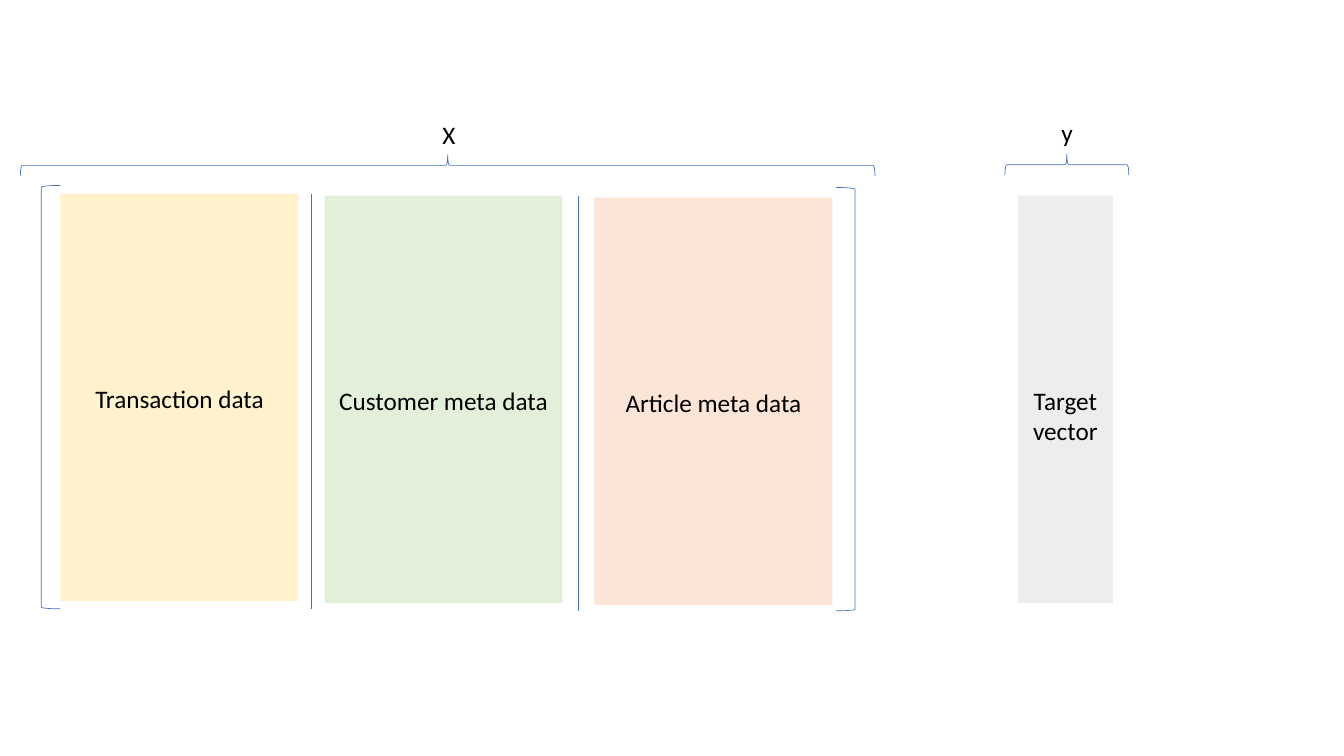
import pptx
import pptx.util
import pptx.dml.color
import pptx.enum.shapes
import pptx.enum.text
import pptx.oxml
from dataclasses import dataclass

Pt = pptx.util.Pt
RGB = pptx.dml.color.RGBColor.from_string
Preset = pptx.enum.shapes.MSO_SHAPE


@dataclass
class Theme:
    """Colours, font and sizes of the slide."""
    transaction: str = "FFF2CC"
    customer: str = "E2F0D9"
    article: str = "FBE5D6"
    target: str = "EDEDED"
    outline: str = "4472C4"
    text: str = "000000"
    font: str = "Calibri"
    size: int = 18
    line_width: float = 0.5


theme = Theme()
deck = pptx.Presentation()
deck.slide_width, deck.slide_height = Pt(960), Pt(540)
shapes = deck.slides.add_slide(deck.slide_layouts[6]).shapes


def write(holder, wording):
    """Put one styled paragraph at the top of a shape and return it."""
    frame = holder.text_frame
    frame.word_wrap = True
    frame.vertical_anchor = pptx.enum.text.MSO_ANCHOR.TOP
    paragraph = frame.paragraphs[0]
    paragraph.text = wording
    paragraph.font.name = theme.font
    paragraph.font.size = Pt(theme.size)
    paragraph.font.color.rgb = RGB(theme.text)
    return paragraph


def add_outline(preset, left, top, width, height, rotation):
    """Draw an unfilled bracket or brace."""
    mark = shapes.add_shape(preset, Pt(left), Pt(top), Pt(width), Pt(height))
    mark.rotation = rotation
    mark.shadow.inherit = False
    mark.fill.background()
    mark.line.color.rgb = RGB(theme.outline)
    mark.line.width = Pt(theme.line_width)


# Matrix blocks and target vector
block_height = 291
label_offset = 135.4
for wording, left, top, width, colour in [
    ("Transaction data", 43.2, 138.3, 170, theme.transaction),
    ("Customer meta data", 231.8, 139.7, 170, theme.customer),
    ("Article meta data", 424.6, 141.1, 170, theme.article),
    ("Target vector", 727, 139.7, 68, theme.target),
]:
    block = shapes.add_shape(Preset.RECTANGLE, Pt(left), Pt(top), Pt(width), Pt(block_height))
    block.shadow.inherit = False
    block.fill.solid()
    block.fill.fore_color.rgb = RGB(colour)
    block.line.fill.background()
    block.text_frame.margin_top = Pt(label_offset)
    write(block, wording).alignment = pptx.enum.text.PP_ALIGN.CENTER

# Dividers between the matrix blocks
for x, top in [(222.5, 138.3), (413.3, 139.7)]:
    divider = shapes.add_connector(
        pptx.enum.shapes.MSO_CONNECTOR.STRAIGHT, Pt(x), Pt(top), Pt(x), Pt(top + 296.6))
    divider.line.color.rgb = RGB(theme.outline)
    divider.line.width = Pt(theme.line_width)
    divider._element.spPr.append(pptx.oxml.parse_xml(
        '<a:effectLst xmlns:a="http://schemas.openxmlformats.org/drawingml/2006/main"/>'))

# Brackets around the matrix
for left, top, rotation in [(29.5, 132.5, 0), (597, 133.9, 180)]:
    add_outline(Preset.LEFT_BRACKET, left, top, 13.7, 302.4, rotation)

# Braces, turned about their centres, with the symbols above
brace_depth = 15.1
for symbol, centre_x, centre_y, span, left, top, width in [
    ("X", 319.8, 118.1, 610.5, 308.9, 81.4, 32.4),
    ("y", 762.1, 117.7, 88.6, 751, 79.9, 26.6),
]:
    add_outline(Preset.RIGHT_BRACE, centre_x - brace_depth / 2, centre_y - span / 2,
                brace_depth, span, 270)
    write(shapes.add_textbox(Pt(left), Pt(top), Pt(width), Pt(29)), symbol)

deck.save("out.pptx")
